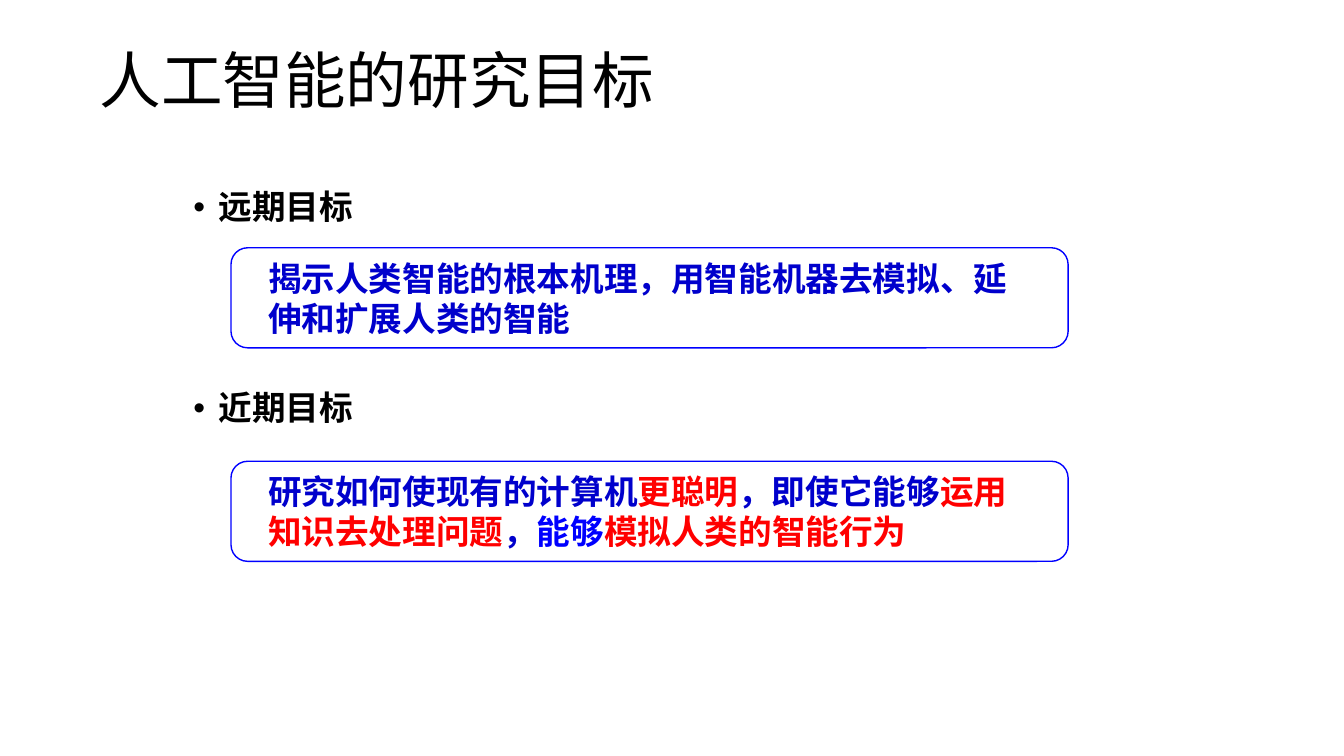
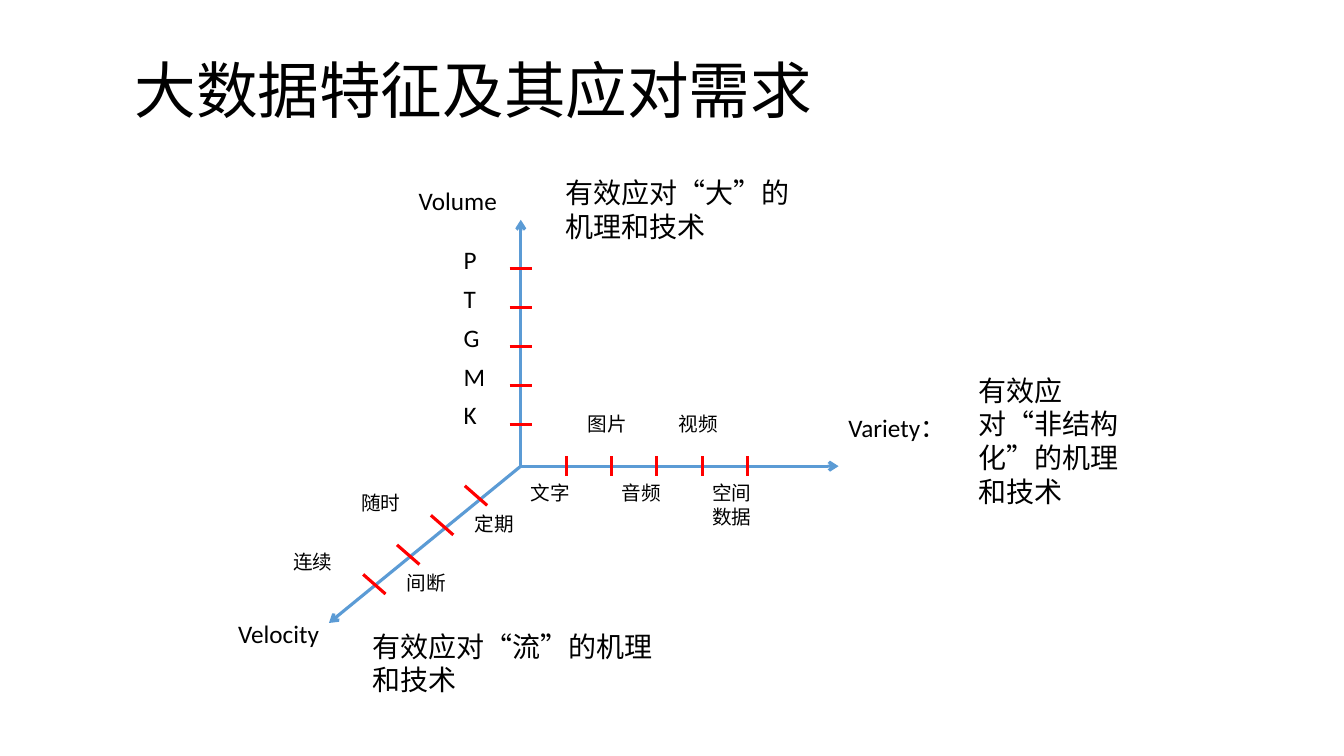
import pptx
import pptx.dml.color
import pptx.enum.lang
import pptx.enum.shapes
import pptx.enum.text
import pptx.oxml
import pptx.oxml.ns
import pptx.util

Pt = pptx.util.Pt
RGBColor = pptx.dml.color.RGBColor
ANCHOR = pptx.enum.text.MSO_ANCHOR
SHAPE = pptx.enum.shapes.MSO_SHAPE
CHINESE = pptx.enum.lang.MSO_LANGUAGE_ID.SIMPLIFIED_CHINESE

BLACK = RGBColor(0x00, 0x00, 0x00)
BLUE = RGBColor(0x00, 0x00, 0xFF)
DARK_BLUE = RGBColor(0x00, 0x00, 0xCC)
RED = RGBColor(0xFF, 0x00, 0x00)
AXIS_BLUE = RGBColor(0x5B, 0x9B, 0xD5)
LATIN = "Calibri"
CJK = "Noto Sans CJK SC"

GOALS = ["远期目标", "近期目标"]
LONG_TERM = [("揭示人类智能的根本机理，用智能机器去模拟、延伸和扩展人类的智能", DARK_BLUE)]
SHORT_TERM = [
    ("研究如何使现有的计算机", DARK_BLUE),
    ("更聪明", RED),
    ("，即使它能够", DARK_BLUE),
    ("运用知识去处理问题", RED),
    ("，", DARK_BLUE),
    ("能够", BLUE),
    ("模拟人类的智能行为", RED),
]

AXES = [
    dict(name="Volume", name_at=(-80, -204), end=(0, -176),
         first=(0, -30), step=(0, -27.8), half_tick=(8, 0),
         labels=["K", "M", "G", "T", "P"], size=18, offsets=[(-48, -21)],
         need="有效应对“大”的机理和技术", need_box=(25, -211, 178, 55)),
    dict(name="Variety：", name_at=(227, -42), end=(227, 0),
         first=(32.4, 0), step=(32.4, 0), half_tick=(0, 7),
         labels=["文字", "图片", "音频", "视频", "空间\n数据"], size=14,
         offsets=[(-32.4, 7), (-24, -42)],
         need="有效应对“非结构化”的机理和技术", need_box=(320, -70, 117, 104)),
    dict(name="Velocity", name_at=(-209, 105), end=(-137, 112),
         first=(-32, 21), step=(-24.2, 21.1), half_tick=(8, 7),
         labels=["定期", "随时", "间断", "连续"], size=14,
         offsets=[(-8, 8), (-65, -28)],
         need="有效应对“流”的机理和技术", need_box=(-113, 113, 234, 55)),
]


def style_run(r, size, color=BLACK, bold=False, font=LATIN):
    r.font.size = Pt(size)
    r.font.name = font
    r.font.bold = bold
    r.font.color.rgb = color
    r.font.language_id = CHINESE


def add_text(slide, x, y, w, h, text, size, bold=False):
    sp = slide.shapes.add_textbox(Pt(x), Pt(y), Pt(w), Pt(h))
    tf = sp.text_frame
    tf.word_wrap = True
    tf.text = text
    for p in tf.paragraphs:
        for r in p.runs:
            style_run(r, size, bold=bold)
    return tf


def add_title(slide, x, y, w, h, text):
    tf = add_text(slide, x, y, w, h, text, 44)
    tf.vertical_anchor = ANCHOR.MIDDLE
    tf.paragraphs[0].line_spacing = 0.9


def add_line(slide, x1, y1, x2, y2, color, arrow=False):
    cn = slide.shapes.add_connector(
        pptx.enum.shapes.MSO_CONNECTOR.STRAIGHT, Pt(x1), Pt(y1), Pt(x2), Pt(y2))
    cn.line.color.rgb = color
    cn.line.width = Pt(2.25)
    if arrow:
        ln = cn.line._get_or_add_ln()
        tail = pptx.oxml.parse_xml(
            '<a:tailEnd %s type="arrow"/>' % pptx.oxml.ns.nsdecls("a"))
        ln.append(tail)
    cn._element.spPr.append(pptx.oxml.parse_xml(
        "<a:effectLst %s/>" % pptx.oxml.ns.nsdecls("a")))


def add_bullets(slide, x, y, w, h, items, gap):
    tf = add_text(slide, x, y, w, h, "\n".join(items), 24, bold=True)
    for i, p in enumerate(tf.paragraphs):
        pPr = p._p.get_or_add_pPr()
        pPr.set("marL", str(Pt(18)))
        pPr.set("indent", str(-Pt(18)))
        for tag, key, value in (("buFont", "typeface", "Arial"), ("buChar", "char", "•")):
            pPr.append(pptx.oxml.parse_xml('<a:%s %s %s="%s"/>' % (
                tag, pptx.oxml.ns.nsdecls("a"), key, value)))
        p.line_spacing = 0.9
        if i:
            p.space_before = Pt(gap)


def add_goal_box(slide, x, y, w, h, parts):
    sp = slide.shapes.add_shape(SHAPE.ROUNDED_RECTANGLE, Pt(x), Pt(y), Pt(w), Pt(h))
    sp.shadow.inherit = False
    sp.fill.background()
    sp.line.color.rgb = BLUE
    sp.line.width = Pt(1)
    tf = sp.text_frame
    tf.word_wrap = True
    tf.vertical_anchor = ANCHOR.MIDDLE
    tf.margin_left, tf.margin_right = Pt(23), Pt(21)
    p = tf.paragraphs[0]
    p.alignment = pptx.enum.text.PP_ALIGN.LEFT
    for text, color in parts:
        r = p.add_run()
        r.text = text
        style_run(r, 24, color, True, CJK)


def add_axis(slide, ox, oy, axis):
    end_x, end_y = axis["end"]
    add_line(slide, ox, oy, ox + end_x, oy + end_y, AXIS_BLUE, arrow=True)
    name_x, name_y = axis["name_at"]
    add_text(slide, ox + name_x, oy + name_y, 121, 29, axis["name"], 18)

    dx, dy = axis["half_tick"]
    offsets = axis["offsets"]
    for i, label in enumerate(axis["labels"]):
        x = ox + axis["first"][0] + i * axis["step"][0]
        y = oy + axis["first"][1] + i * axis["step"][1]
        add_line(slide, x - dx, y - dy, x + dx, y + dy, RED)
        label_x, label_y = offsets[i % len(offsets)]
        add_text(slide, x + label_x, y + label_y, 65, 24, label, axis["size"])

    x, y, w, h = axis["need_box"]
    add_text(slide, ox + x, oy + y, w, h, axis["need"], 20)


def build_goals(slide):
    add_title(slide, 64, 24.5, 648, 70.5, "人工智能的研究目标")
    add_bullets(slide, 131, 132.5, 664, 317, GOALS, 118)
    for y, parts in ((177, LONG_TERM), (329.5, SHORT_TERM)):
        add_goal_box(slide, 165, y, 598, 71.5, parts)


def build_big_data(slide):
    add_title(slide, 89, 21.5, 648, 90, "大数据特征及其应对需求")
    for axis in AXES:
        add_axis(slide, 372, 333, axis)


def main():
    prs = pptx.Presentation()
    prs.slide_width, prs.slide_height = Pt(960), Pt(540)
    for build in (build_goals, build_big_data):
        build(prs.slides.add_slide(prs.slide_layouts[6]))
    prs.save("out.pptx")


if __name__ == "__main__":
    main()
